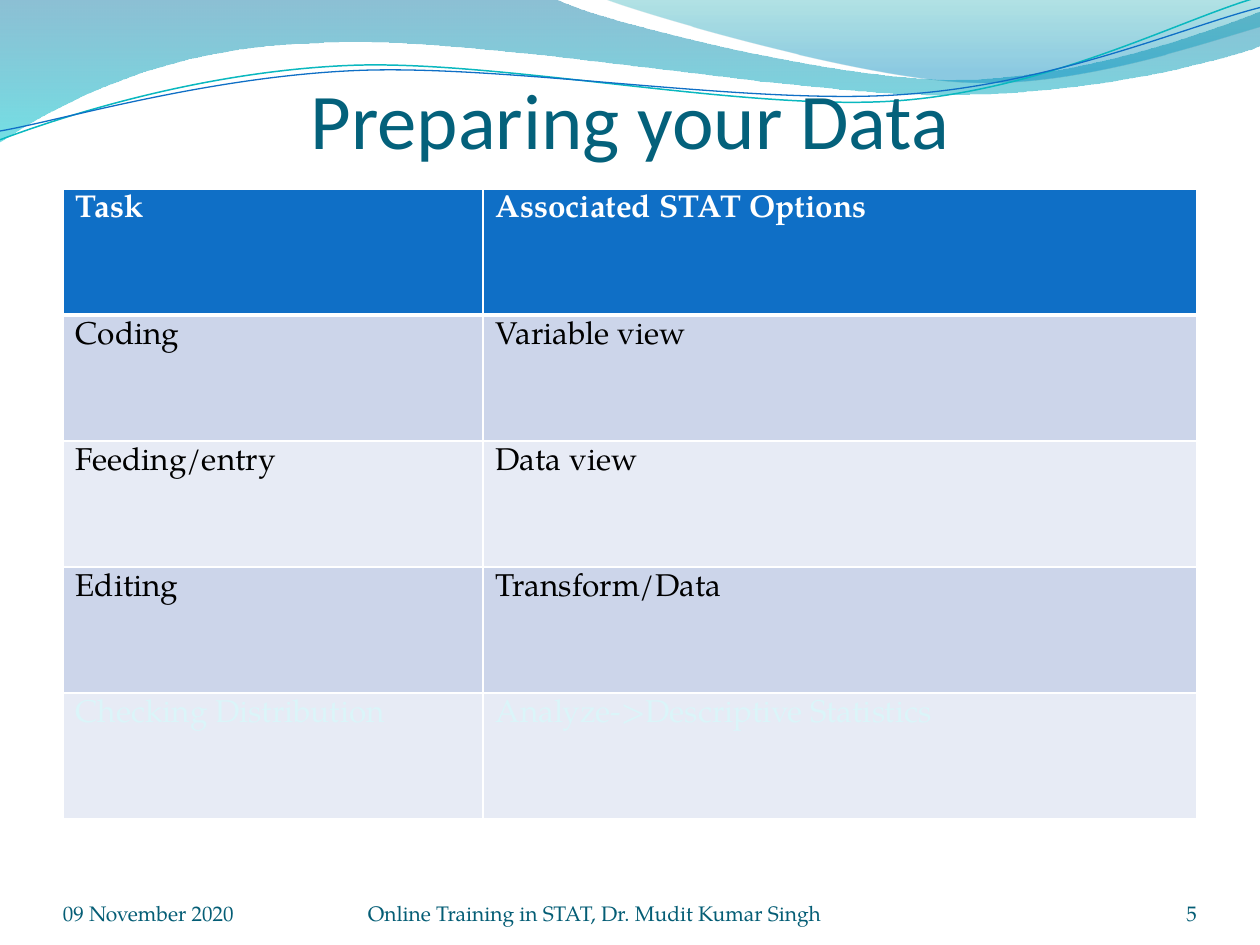
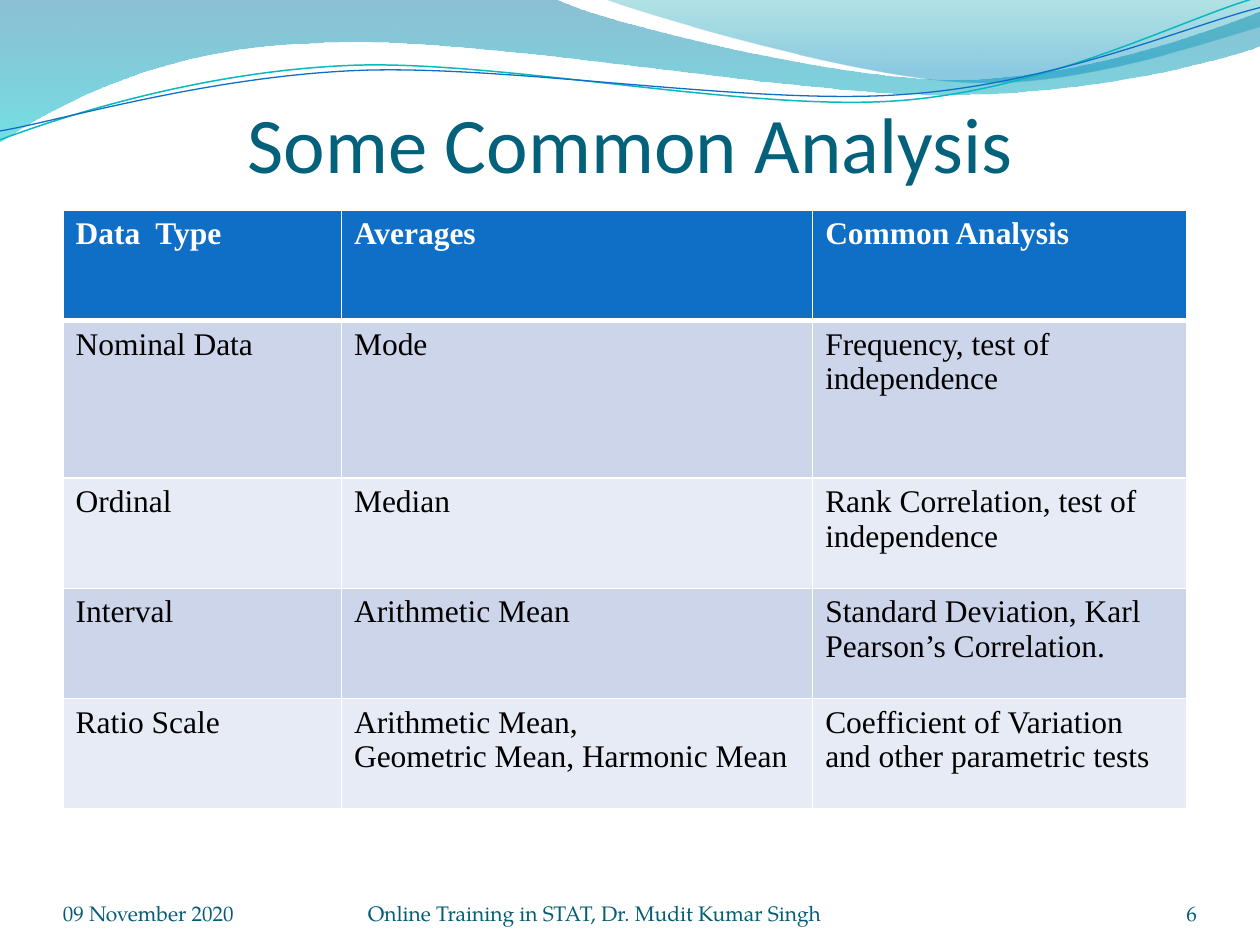
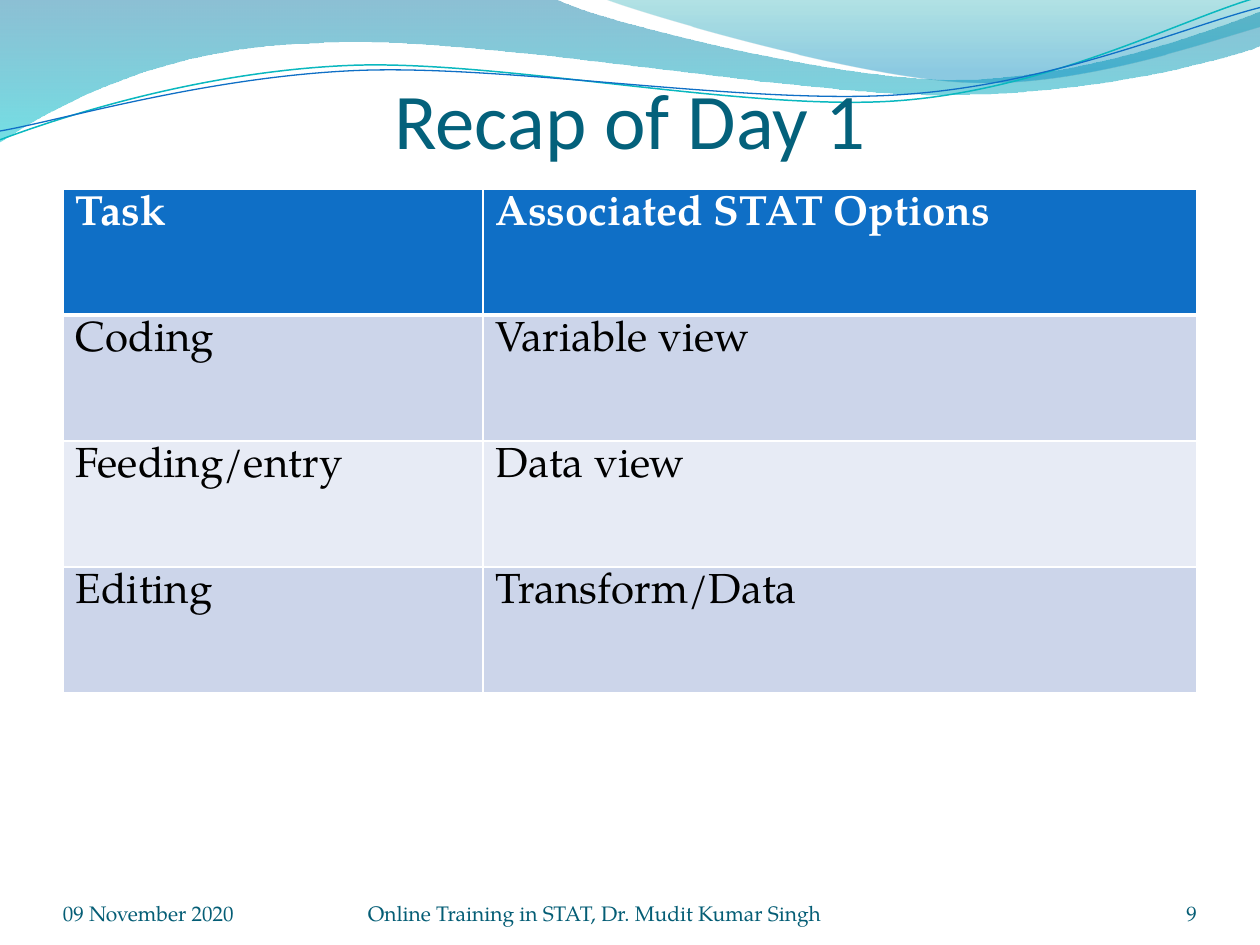
from lxml.etree import SubElement
from pptx import Presentation
from pptx.dml.color import RGBColor
from pptx.enum.text import MSO_ANCHOR, MSO_AUTO_SIZE, PP_ALIGN
from pptx.oxml import parse_xml
from pptx.oxml.ns import nsdecls, qn
from pptx.util import Inches, Pt

SERIF = "TeX Gyre Pagella"
TIMES = "Times New Roman"
WHITE, BLACK, BLUE = "FFFFFF", "000000", "0F6FC6"
BANDS = ["CCD5EA", "E7EBF5"]
PALE, TITLE, FOOT = "DBF5F9", "04617B", "045D75"

BAND = [
    [(0, 0)],
    [(4.4, -0.01)],
    [(4.76, 0.17), (6.64, 0.63), (7.58, 0.63)],
    [(8.53, 0.63), (9.58, 0.26), (10, 0.09)],
    [(10.01, 0.36)],
    [(9.83, 0.44), (8.7, 0.76), (7.46, 0.75)],
    [(6.22, 0.75), (3.82, 0.28), (2.57, 0.34)],
    [(1.29, 0.36), (0.46, 0.83), (-0.01, 1.13)],
    [(0, 0)],
]
CORNER = [
    [(4.79, -0.01)],
    [(5.09, 0.11), (6.82, 0.62), (7.69, 0.65)],
    [(8.56, 0.69), (9.61, 0.32), (10, 0.21)],
    [(10, 0)],
    [(4.79, -0.01)],
]
TEAL = [
    [(0, 1.11)],
    [(0.48, 0.93), (1.58, 0.57), (2.77, 0.52)],
    [(3.95, 0.47), (5.93, 0.89), (7.13, 0.8)],
    [(8.33, 0.71), (9.38, 0.15), (9.98, -0.02)],
]
NAVY = [
    [(0, 1.04)],
    [(0.47, 0.96), (1.64, 0.61), (2.83, 0.56)],
    [(4.03, 0.51), (5.97, 0.84), (7.17, 0.75)],
    [(8.36, 0.67), (9.41, 0.21), (10, 0.06)],
]


def color(code):
    return RGBColor.from_string(code)


def write(para, text, font, size, code, bold=False):
    run = para.add_run()
    run.text = text
    run.font.name = font
    run.font.size = Pt(size)
    run.font.bold = bold
    run.font.color.rgb = color(code)


def bend(shape, parts):
    lines = iter(list(shape.element.iter(qn("a:lnTo"))))
    for part in parts[1:]:
        first, *rest = [next(lines) for spot in part]
        if rest:
            curve = parse_xml(f'<a:cubicBezTo {nsdecls("a")}/>')
            first.addprevious(curve)
            for line in (first, *rest):
                curve.append(line[0])
                line.getparent().remove(line)


def outline(slide, parts, close):
    spots = [(Inches(x), Inches(y)) for part in parts for x, y in part]
    pen = slide.shapes.build_freeform(*spots[0])
    pen.add_line_segments(spots[1:], close=close)
    shape = pen.convert_to_shape()
    bend(shape, parts)
    shape.shadow.inherit = False
    return shape


def wave(slide, parts, stops):
    shape = outline(slide, parts, True)
    shape.line.fill.background()
    shape.fill.gradient()
    shape.fill.gradient_angle = 270
    for stop, (place, code, alpha) in zip(shape.fill.gradient_stops, stops):
        stop.position = place
        stop.color.rgb = color(code)
    tints = shape.element.spPr.iter(qn("a:srgbClr"))
    for tint, (place, code, alpha) in zip(tints, stops):
        SubElement(tint, qn("a:alpha"), val=str(alpha * 1000))
    return shape


def strand(slide, parts, code, width):
    shape = outline(slide, parts, False)
    shape.fill.background()
    shape.line.color.rgb = color(code)
    shape.line.width = Pt(width)
    return shape


def add_waves(slide):
    shapes = [
        wave(slide, BAND, [(0, "0074A1", 45), (1, "00C6CF", 55)]),
        wave(slide, CORNER, [(0, "00A1A9", 30), (0.8, "008BBF", 45)]),
        strand(slide, TEAL, "0AB8BF", 0.85),
        strand(slide, NAVY, BLUE, 0.75),
    ]
    tree = slide.slide_layout.shapes.element
    for spot, shape in enumerate(shapes, 2):
        tree.insert(spot, shape.element)


def set_frame(frame, top=0):
    frame.word_wrap = True
    frame.auto_size = MSO_AUTO_SIZE.NONE
    frame.vertical_anchor = MSO_ANCHOR.BOTTOM
    frame.margin_left = frame.margin_right = frame.margin_bottom = 0
    frame.margin_top = Inches(top)


def add_title(slide, text, box):
    title = slide.shapes.title
    title.left, title.top, title.width, title.height = map(Inches, box)
    set_frame(title.text_frame, 0.05)
    para = title.text_frame.paragraphs[0]
    para.alignment = PP_ALIGN.CENTER
    write(para, text, "Calibri", 45, TITLE)


def add_footer(slide, number, box):
    left, top, width, height = box
    items = [
        (0, 2.33, "09 November 2020", PP_ALIGN.LEFT),
        (2.42, 3.67, "Online Training in STAT, Dr. Mudit Kumar Singh", PP_ALIGN.LEFT),
        (width - 0.83, 0.83, str(number), PP_ALIGN.RIGHT),
    ]
    for shift, wide, text, align in items:
        note = slide.shapes.add_textbox(Inches(left + shift), Inches(top), Inches(wide), Inches(height))
        set_frame(note.text_frame)
        para = note.text_frame.paragraphs[0]
        para.alignment = align
        write(para, text, SERIF, 12, FOOT)


def set_edges(cell, row):
    props = cell._tc.get_or_add_tcPr()
    widths = {"L": 1, "R": 1, "T": 3 if row == 1 else 1, "B": 3 if row == 0 else 1}
    for spot, (side, width) in enumerate(widths.items()):
        props.insert(spot, parse_xml(
            f'<a:ln{side} {nsdecls("a")} w="{Pt(width)}"><a:solidFill>'
            f'<a:srgbClr val="{WHITE}"/></a:solidFill></a:ln{side}>'))


def add_grid(slide, rows, spot, widths, heights, font, size, faint=None):
    left, top = spot
    box = map(Inches, (left, top, sum(widths), sum(heights)))
    grid = slide.shapes.add_table(len(rows), len(widths), *box).table
    for col, width in zip(grid.columns, widths):
        col.width = Inches(width)
    for r, (words, height) in enumerate(zip(rows, heights)):
        grid.rows[r].height = Inches(height)
        head = r == 0
        ink = WHITE if head else PALE if r == faint else BLACK
        for c, text in enumerate(words):
            cell = grid.cell(r, c)
            cell.fill.solid()
            cell.fill.fore_color.rgb = color(BLUE if head else BANDS[(r - 1) % 2])
            set_edges(cell, r)
            frame = cell.text_frame
            for n, line in enumerate(text.split("\n")):
                para = frame.add_paragraph() if n else frame.paragraphs[0]
                write(para, line, font, size, ink, head)


def add_page(deck, title, box, number):
    slide = deck.slides.add_slide(deck.slide_layouts[5])
    add_title(slide, title, box)
    add_footer(slide, number, (0.5, 6.95, 9, 0.4))
    return slide


def add_tasks(deck, title, number, rows, size, faint=None):
    slide = add_page(deck, title, (0.5, 0.58, 9, 0.73), number)
    first = 10 / 3
    add_grid(slide, rows, (0.5, 1.5), [first, 9 - first], [1] * len(rows), SERIF, size, faint)
    return slide


def add_types(deck):
    slide = add_page(deck, "Some Common Analysis", (0.5, 0.67, 9, 0.83), 6)
    rows = [
        ("Data  Type", "Averages", "Common Analysis"),
        ("Nominal Data", "Mode", "Frequency, test of independence"),
        ("Ordinal", "Median", "Rank Correlation, test of independence"),
        ("Interval", "Arithmetic Mean", "Standard Deviation, Karl Pearson’s Correlation."),
        ("Ratio Scale", "Arithmetic Mean,\nGeometric Mean, Harmonic Mean",
         "Coefficient of Variation and other parametric tests"),
    ]
    tall = 1.25
    short = (4.75 - tall) / 4
    heights = [short, tall, short, short, short]
    add_grid(slide, rows, (0.5, 1.67), [2.21, 3.74, 2.97], heights, TIMES, 18)


def main():
    deck = Presentation()
    deck.slide_width, deck.slide_height = Inches(10), Inches(7.5)
    tasks = [
        ("Task", "Associated STAT Options"),
        ("Coding", "Variable view"),
        ("Feeding/entry", "Data view"),
        ("Editing", "Transform/Data"),
    ]
    check = ("Checking Distribution", "Analyze->Descriptive Statistics")
    first = add_tasks(deck, "Preparing your Data", 5, [*tasks, check], 18, faint=4)
    add_waves(first)
    add_types(deck)
    add_tasks(deck, "Recap of Day 1", 9, tasks, 24)
    deck.save("out.pptx")


if __name__ == "__main__":
    main()
